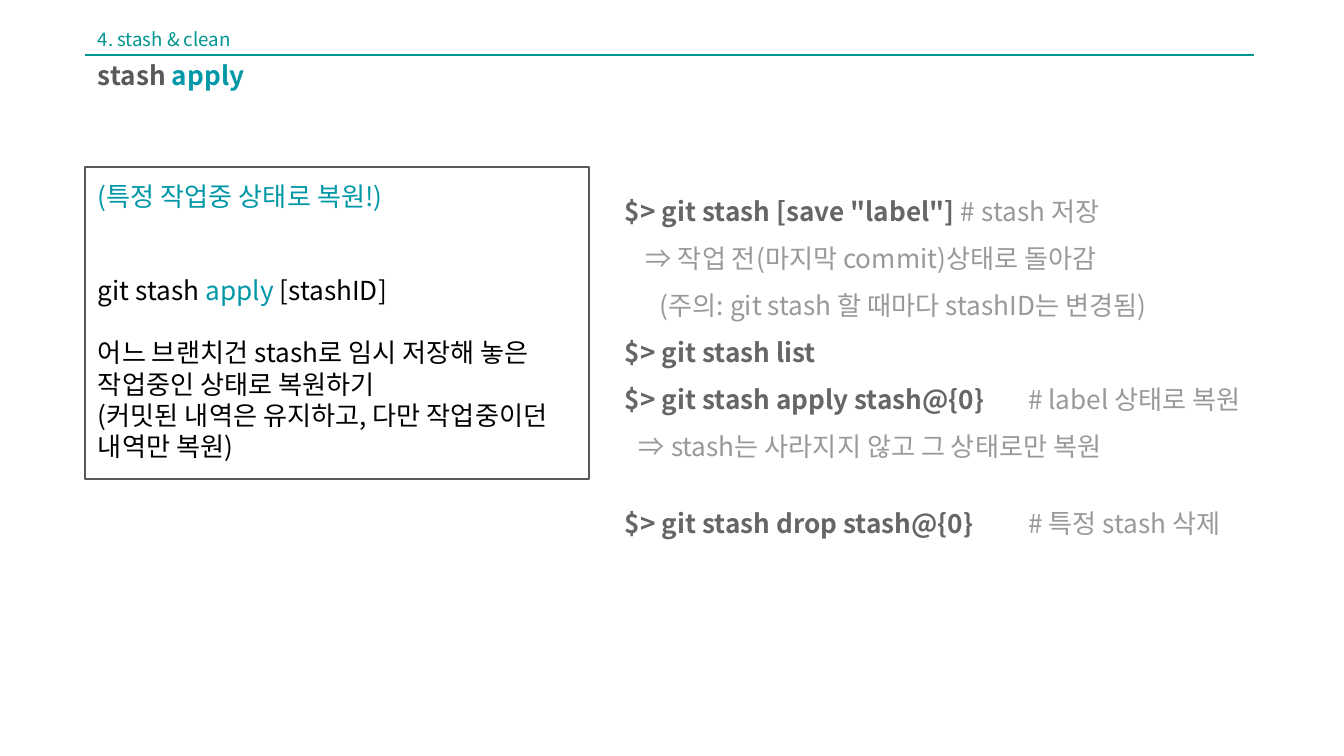
"""Build the slide that explains git stash apply."""
import pptx
import pptx.dml.color
import pptx.enum.shapes
import pptx.enum.text
import pptx.oxml.ns
import pptx.util
from lxml import etree

RGBColor = pptx.dml.color.RGBColor
ANCHOR = pptx.enum.text.MSO_ANCHOR
qn = pptx.oxml.ns.qn

BLACK = RGBColor(0x00, 0x00, 0x00)
DARK = RGBColor(0x59, 0x59, 0x59)
COMMAND = RGBColor(0x66, 0x66, 0x66)
NOTE = RGBColor(0x99, 0x99, 0x99)
TEAL = RGBColor(0x00, 0x97, 0xA7)
GREEN = RGBColor(0x00, 0x95, 0x91)
FONT = "Noto Sans CJK KR"

SECTION = [{"runs": [("4. stash & clean", GREEN, False)]}]
TITLE = [{"runs": [("stash ", DARK, True), ("apply", TEAL, True)]}]
SUMMARY = [
    {"runs": [("(특정 작업중 상태로 복원!)", TEAL, False)]},
    {"runs": [("git stash ", BLACK, False), ("apply ", TEAL, False),
              ("[stashID]", BLACK, False)], "before": 33.5},
    {"runs": [("어느 브랜치건 stash로 임시 저장해 놓은 작업중인 상태로 복원하기", BLACK, False)],
     "before": 16.75},
    {"runs": [("(커밋된 내역은 유지하고, 다만 작업중이던 내역만 복원)", BLACK, False)]},
]
COMMANDS = [
    {"runs": [('$> git stash [save "label"]\t', COMMAND, True),
              ("# stash 저장", NOTE, False)], "tab": 348},
    {"runs": [("⇒ 작업 전(마지막 commit)상태로 돌아감", NOTE, False)], "indent": 21},
    {"runs": [("(주의: git stash 할 때마다 stashID는 변경됨)", NOTE, False)], "indent": 35},
    {"runs": [("$> git stash list", COMMAND, True)]},
    {"runs": [("$> git stash apply stash@{0}\t", COMMAND, True),
              ("# label 상태로 복원", NOTE, False)], "tab": 370},
    {"runs": [("⇒ stash는 사라지지 않고 그 상태로만 복원", NOTE, False)], "indent": 14},
    {"runs": [("$> git stash drop stash@{0}\t", COMMAND, True),
              ("# 특정 stash 삭제", NOTE, False)], "tab": 365, "before": 16},
]

LEFT, RIGHT, RULE_Y, BODY_Y = 85, 1254, 55, 167
HEAD_W, INSET = 960, 13


def px(n):
    return pptx.util.Emu(round(n * 914400 / 134.4))


def write(s, paragraphs, size=14, spacing=1.0, inset_y=INSET, anchor=ANCHOR.TOP):
    tf = s.text_frame
    tf.word_wrap = True
    tf.vertical_anchor = anchor
    tf.margin_left = tf.margin_right = px(INSET)
    tf.margin_top = tf.margin_bottom = px(inset_y)
    for i, item in enumerate(paragraphs):
        p = tf.paragraphs[0] if i == 0 else tf.add_paragraph()
        p.alignment = pptx.enum.text.PP_ALIGN.LEFT
        p.line_spacing = spacing
        p.space_before = pptx.util.Pt(item.get("before", 0))
        pPr = p._p.get_or_add_pPr()
        pPr.set("marL", str(px(item.get("indent", 0))))
        pPr.set("indent", "0")
        if "tab" in item:
            tabs = etree.SubElement(pPr, qn("a:tabLst"))
            etree.SubElement(tabs, qn("a:tab"), pos=str(px(item["tab"])), algn="l")
        for text, color, bold in item["runs"]:
            r = p.add_run()
            r.text = text
            r.font.size = pptx.util.Pt(size)
            r.font.bold = bold
            r.font.color.rgb = color
            r.font.name = FONT
            etree.SubElement(r._r.get_or_add_rPr(), qn("a:ea"), typeface=FONT)


def main():
    prs = pptx.Presentation()
    prs.slide_width, prs.slide_height = px(1344), px(756)
    slide = prs.slides.add_slide(prs.slide_layouts[6])
    shapes = slide.shapes

    s = shapes.add_shape(pptx.enum.shapes.MSO_SHAPE.RECTANGLE,
                         px(LEFT), px(BODY_Y), px(504), px(312))
    s.shadow.inherit = False
    s.fill.background()
    s.line.color.rgb = DARK
    s.line.width = pptx.util.Pt(0.75)
    write(s, SUMMARY)

    s = shapes.add_textbox(px(612), px(BODY_Y), px(648), px(419))
    write(s, COMMANDS, spacing=1.5)

    for paragraphs, top, height, size in ((SECTION, 24, 32, 10), (TITLE, RULE_Y, 44, 14)):
        s = shapes.add_textbox(px(LEFT), px(top), px(HEAD_W), px(height))
        write(s, paragraphs, size=size, spacing=0.9, inset_y=0, anchor=ANCHOR.MIDDLE)

    rule = shapes.add_connector(pptx.enum.shapes.MSO_CONNECTOR.STRAIGHT,
                                px(LEFT), px(RULE_Y), px(RIGHT), px(RULE_Y))
    rule.line.color.rgb = GREEN
    rule.line.width = pptx.util.Pt(0.75)
    etree.SubElement(rule._element.spPr, qn("a:effectLst"))

    prs.save("out.pptx")


if __name__ == "__main__":
    main()
